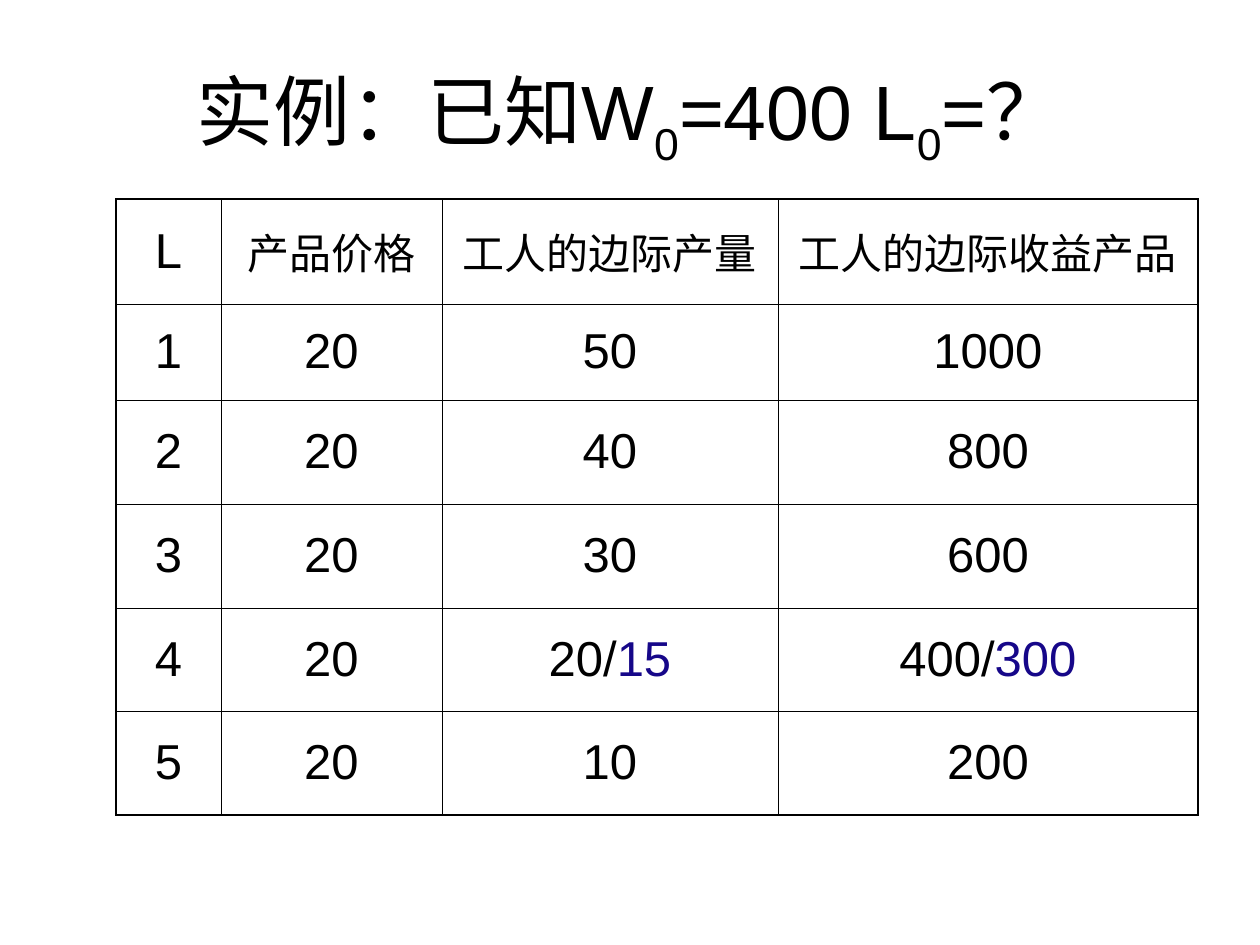
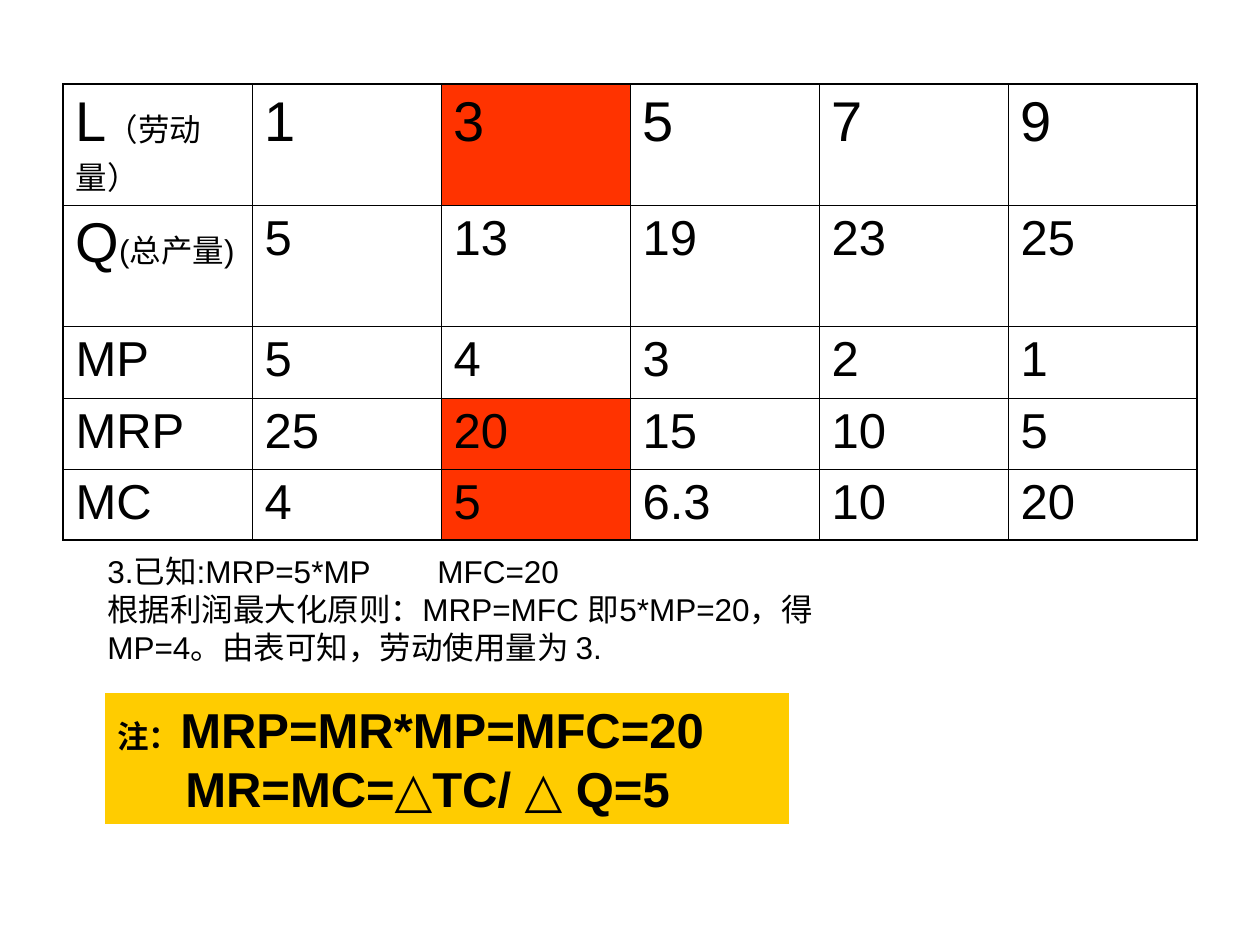
import pptx
import pptx.dml.color
import pptx.enum.shapes
import pptx.enum.text
import pptx.oxml
import pptx.oxml.ns
import pptx.util
from dataclasses import dataclass

PX = 914400 / 126  # EMU in one px


@dataclass(frozen=True)
class Theme:
    font: str = "Arial"
    ink: str = "000000"
    changed: str = "160789"
    optimum: str = "FF3300"
    note: str = "FFCC00"
    title: int = 44
    symbol: int = 32
    value: int = 28
    heading: int = 24
    small: int = 18
    outer_line: float = 1.08
    inner_line: float = 0.45


theme = Theme()
Align = pptx.enum.text.PP_ALIGN
Anchor = pptx.enum.text.MSO_ANCHOR


def add_text(para, text, size=theme.value, color=theme.ink, bold=False, baseline=0):
    span = para.add_run()
    span.text = text
    span.font.name = theme.font
    span.font.size = pptx.util.Pt(size)
    span.font.bold = bold
    span.font.color.rgb = pptx.dml.color.RGBColor.from_string(color)
    if baseline:
        span.font._element.set("baseline", str(baseline * 1000))


def add_grid(page, left, top, widths, heights, rows, align, anchor, filled=()):
    """Rows hold lists of cells; each cell is a list of (text, format) spans."""
    frame = page.shapes.add_table(
        len(heights), len(widths), round(left * PX), round(top * PX),
        round(sum(widths) * PX), round(sum(heights) * PX))
    table = frame.table
    table.first_row = table.horz_banding = False
    for column, width in zip(table.columns, widths):
        column.width = round(width * PX)
    for line, height in zip(table.rows, heights):
        line.height = round(height * PX)
    for r, row in enumerate(rows):
        for c, spans in enumerate(row):
            cell = table.cell(r, c)
            cell.vertical_anchor = anchor
            para = cell.text_frame.paragraphs[0]
            para.alignment = align
            for text, style in spans:
                add_text(para, text, **style)
            if (r, c) in filled:
                cell.fill.solid()
                cell.fill.fore_color.rgb = pptx.dml.color.RGBColor.from_string(theme.optimum)
            else:
                cell.fill.background()
            # Borders: heavier on the outside of the table
            outside = {"lnL": c == 0, "lnR": c == len(widths) - 1,
                       "lnT": r == 0, "lnB": r == len(heights) - 1}
            properties = cell._tc.get_or_add_tcPr()
            for index, (side, is_outer) in enumerate(outside.items()):
                weight = pptx.util.Pt(theme.outer_line if is_outer else theme.inner_line)
                properties.insert(index, pptx.oxml.parse_xml(
                    f'<a:{side} {pptx.oxml.ns.nsdecls("a")} w="{weight}"><a:solidFill>'
                    f'<a:srgbClr val="{theme.ink}"/></a:solidFill></a:{side}>'))


deck = pptx.Presentation()
deck.slide_width = round(1260 * PX)
deck.slide_height = round(945 * PX)

# Slide 1: title
page = deck.slides.add_slide(deck.slide_layouts[5])
title = page.shapes.title
title.left, title.top, title.width, title.height = (round(n * PX) for n in (63, 38, 1134, 157))
title.text_frame.vertical_anchor = Anchor.MIDDLE
para = title.text_frame.paragraphs[0]
para.alignment = Align.CENTER
for text, baseline in [("实例：已知W", 0), ("0", -25), ("=400 L", 0), ("0", -25), ("=？", 0)]:
    add_text(para, text, size=theme.title, baseline=baseline)

# Slide 1: marginal revenue product table
heading = {"size": theme.heading}
changed = {"color": theme.changed}
rows = [[[("L", {})]] + [[(text, heading)] for text in
                         ("产品价格", "工人的边际产量", "工人的边际收益产品")]]
price = 20
for labour, product in enumerate((50, 40, 30, 20, 10), start=1):
    rows.append([[(str(n), {})] for n in (labour, price, product, price * product)])
rows[4][2] = [("20/", {}), ("15", changed)]
rows[4][3] = [("400/", {}), ("300", changed)]
add_grid(page, 116, 199, [105, 221, 336, 420], [105, 96, 104, 104, 103, 104], rows,
         Align.CENTER, Anchor.MIDDLE)

# Slide 2: labour table with the optimum filled
page = deck.slides.add_slide(deck.slide_layouts[6])
symbol = {"size": theme.symbol}
small = {"size": theme.small}
rows = [
    [[("L", symbol), ("（劳动量）", small)]] + [[(text, symbol)] for text in "13579"],
    [[("Q", symbol), ("(总产量)", small)]]
    + [[(text, {})] for text in ("5", "13", "19", "23", "25")],
]
for line in ("MP 5 4 3 2 1", "MRP 25 20 15 10 5", "MC 4 5 6.3 10 20"):
    rows.append([[(text, {})] for text in line.split()])
add_grid(page, 63, 84, [189] * 6, [121] * 2 + [72, 71, 71], rows,
         Align.LEFT, Anchor.TOP, filled={(0, 2), (3, 2), (4, 2)})

# Slide 2: note
note = page.shapes.add_shape(pptx.enum.shapes.MSO_SHAPE.RECTANGLE,
                             *(round(n * PX) for n in (105, 693, 684, 131)))
note.shadow.inherit = False
note.fill.solid()
note.fill.fore_color.rgb = pptx.dml.color.RGBColor.from_string(theme.note)
note.line.fill.background()
note.text_frame.word_wrap = True
note.text_frame.vertical_anchor = Anchor.TOP
para = note.text_frame.paragraphs[0]
para.alignment = Align.LEFT
add_text(para, "注：", size=theme.small, bold=True)
add_text(para, "MRP=MR*MP=MFC=20", bold=True)
para = note.text_frame.add_paragraph()
para.alignment = Align.LEFT
para._p.get_or_add_pPr().set("marL", str(round(68 * PX)))
add_text(para, "MR=MC=△TC/ △ Q=5", bold=True)

# Slide 2: solution, with a tab stop between the two given equations
solution = page.shapes.add_textbox(*(round(n * PX) for n in (95, 546, 798, 180)))
solution.text_frame.word_wrap = True
para = solution.text_frame.paragraphs[0]
para._p.get_or_add_pPr().append(pptx.oxml.parse_xml(
    f'<a:tabLst {pptx.oxml.ns.nsdecls("a")}><a:tab pos="{round(330 * PX)}" algn="l"/></a:tabLst>'))
add_text(para, "3.已知:MRP=5*MP\tMFC=20", size=theme.small)
para = solution.text_frame.add_paragraph()
add_text(para, "根据利润最大化原则：MRP=MFC 即5*MP=20，得MP=4。由表可知，劳动使用量为 3.",
         size=theme.small)

deck.save("out.pptx")
